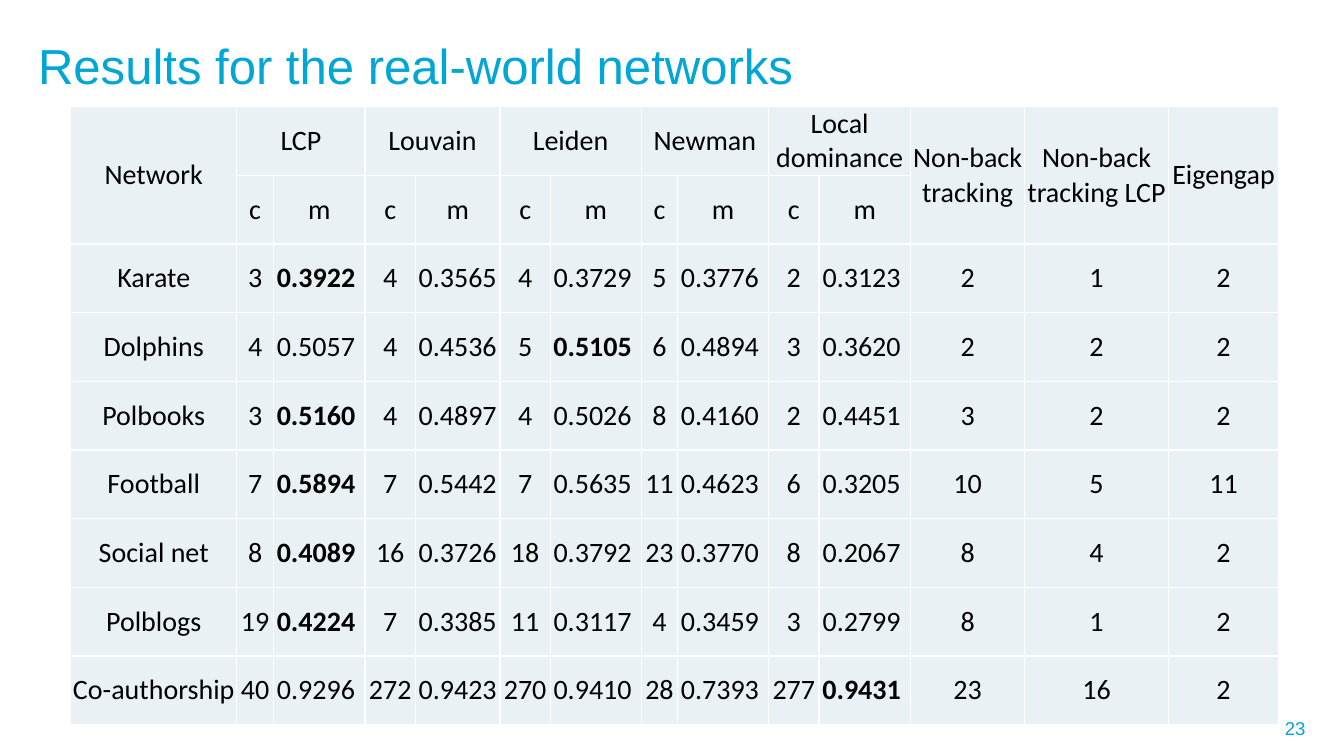
"""Build a slide with a table of community detection results for real-world networks."""
from lxml import etree
from pptx import Presentation
from pptx.dml.color import RGBColor
from pptx.enum.text import MSO_ANCHOR, PP_ALIGN
from pptx.oxml.ns import qn
from pptx.util import Cm, Pt

LEFT, CENTER, RIGHT = PP_ALIGN.LEFT, PP_ALIGN.CENTER, PP_ALIGN.RIGHT
MIDDLE = MSO_ANCHOR.MIDDLE

TITLE = "Results for the real-world networks"
PAGE = "23"
METHODS = ["LCP", "Louvain", "Leiden", "Newman", "Local\ndominance"]
ESTIMATES = ["Non-back\ntracking", "Non-back\ntracking LCP", "Eigengap"]
RESULTS = [
    ("Karate", "3 0.3922 4 0.3565 4 0.3729 5 0.3776 2 0.3123 2 1 2"),
    ("Dolphins", "4 0.5057 4 0.4536 5 0.5105 6 0.4894 3 0.3620 2 2 2"),
    ("Polbooks", "3 0.5160 4 0.4897 4 0.5026 8 0.4160 2 0.4451 3 2 2"),
    ("Football", "7 0.5894 7 0.5442 7 0.5635 11 0.4623 6 0.3205 10 5 11"),
    ("Social net", "8 0.4089 16 0.3726 18 0.3792 23 0.3770 8 0.2067 8 4 2"),
    ("Polblogs", "19 0.4224 7 0.3385 11 0.3117 4 0.3459 3 0.2799 8 1 2"),
    ("Co-authorship", "40 0.9296 272 0.9423 270 0.9410 28 0.7393 277 0.9431 23 16 2"),
]
WIDTHS = [4.19, 0.92, 2.31, 1.27, 2.13, 1.27, 2.29, 0.92, 2.29, 1.27, 2.31, 2.87, 3.63, 2.77]
ROW_HEIGHT = 1.73
TABLE_LEFT, TABLE_TOP = 1.78, 2.69
SCORE_COLS = range(2, 11, 2)
INDENTED_COLS = (2, 6, 8, 10)
SCORE_INDENT = 0.16

THEME = {
    "title": {"name": "Arial", "size": Pt(35.1), "color": "00A6D6"},
    "page": {"name": "Arial", "size": Pt(13.3), "color": "00A6D6"},
    "cell": {"name": "Calibri", "size": Pt(20), "color": "000000", "bold": False},
    "best": {"name": "Calibri", "size": Pt(20), "color": "000000", "bold": True},
    "fill": "E9F1F5",
    "border": "FFFFFF",
    "border_width": Pt(1),
}


def write(tf, text, style, align):
    for i, line in enumerate(text.split("\n")):
        p = tf.paragraphs[0] if i == 0 else tf.add_paragraph()
        p.alignment = align
        r = p.add_run()
        r.text = line
        for name, value in THEME[style].items():
            if name == "color":
                r.font.color.rgb = RGBColor.from_string(value)
            else:
                setattr(r.font, name, value)


def add_label(s, text, style, align, box, margins):
    tf = s.shapes.add_textbox(*map(Cm, box)).text_frame
    frame = {"word_wrap": True, "vertical_anchor": MIDDLE, **margins}
    for name, value in frame.items():
        setattr(tf, name, value)
    write(tf, text, style, align)


def format_cell(cell, indent):
    values = {"margin_left": 0, "margin_right": Cm(indent), "margin_top": 0,
              "margin_bottom": 0, "vertical_anchor": MIDDLE}
    for name, value in values.items():
        setattr(cell, name, value)
    tc_pr = cell._tc.get_or_add_tcPr()
    for side in ("lnL", "lnR", "lnT", "lnB"):
        ln = etree.SubElement(tc_pr, qn(f"a:{side}"), w=str(THEME["border_width"]))
        fill = etree.SubElement(ln, qn("a:solidFill"))
        etree.SubElement(fill, qn("a:srgbClr"), val=THEME["border"])
    cell.fill.solid()
    cell.fill.fore_color.rgb = RGBColor.from_string(THEME["fill"])


def add_results(s):
    head = ["Network"] + [t for m in METHODS for t in (m, "")] + ESTIMATES
    subhead = [""] + ["c", "m"] * len(METHODS) + [""] * len(ESTIMATES)
    rows = [head, subhead] + [[name] + values.split() for name, values in RESULTS]
    size = (sum(WIDTHS), ROW_HEIGHT * len(rows))
    table = s.shapes.add_table(len(rows), len(WIDTHS), Cm(TABLE_LEFT), Cm(TABLE_TOP),
                               *map(Cm, size)).table
    table.first_row = table.horz_banding = False
    for col, width in zip(table.columns, WIDTHS):
        col.width = Cm(width)
    for row in table.rows:
        row.height = Cm(ROW_HEIGHT)
    for i, values in enumerate(rows):
        best = max(values[j] for j in SCORE_COLS) if i > 1 else None
        for j, text in enumerate(values):
            cell = table.cell(i, j)
            format_cell(cell, SCORE_INDENT if i > 1 and j in INDENTED_COLS else 0)
            if text:
                style = "best" if j in SCORE_COLS and text == best else "cell"
                write(cell.text_frame, text, style, CENTER)
    for j, text in enumerate(head):
        if j in SCORE_COLS:
            table.cell(0, j - 1).merge(table.cell(0, j))
        elif not subhead[j]:
            table.cell(0, j).merge(table.cell(1, j))


def main():
    prs = Presentation()
    prs.slide_width, prs.slide_height = Cm(33.87), Cm(19.05)
    s = prs.slides.add_slide(prs.slide_layouts[6])
    add_label(s, PAGE, "page", RIGHT, (24.64, 17.83, 8.59, 1.02),
              {"margin_left": Cm(0.33), "margin_right": Cm(0.33)})
    add_label(s, TITLE, "title", LEFT, (0.71, 0.76, 32.13, 1.75), {})
    add_results(s)
    prs.save("out.pptx")


if __name__ == "__main__":
    main()
